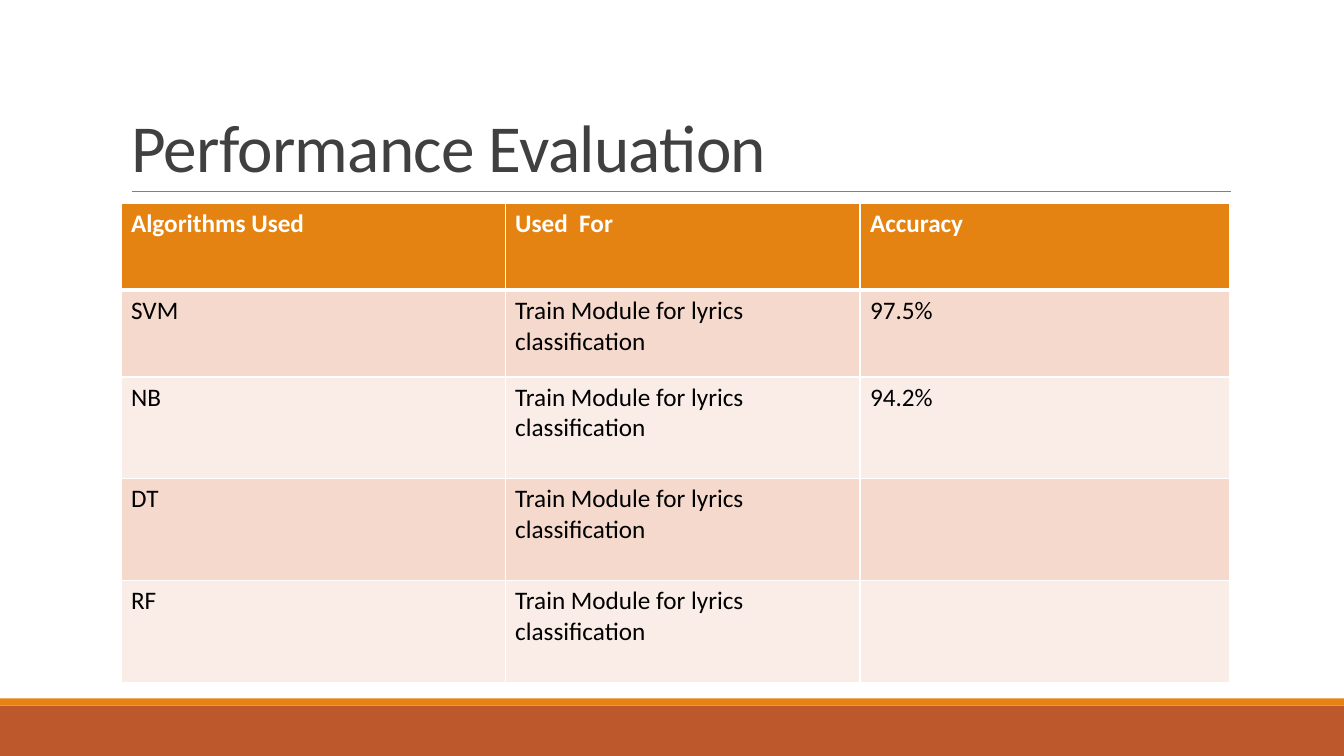
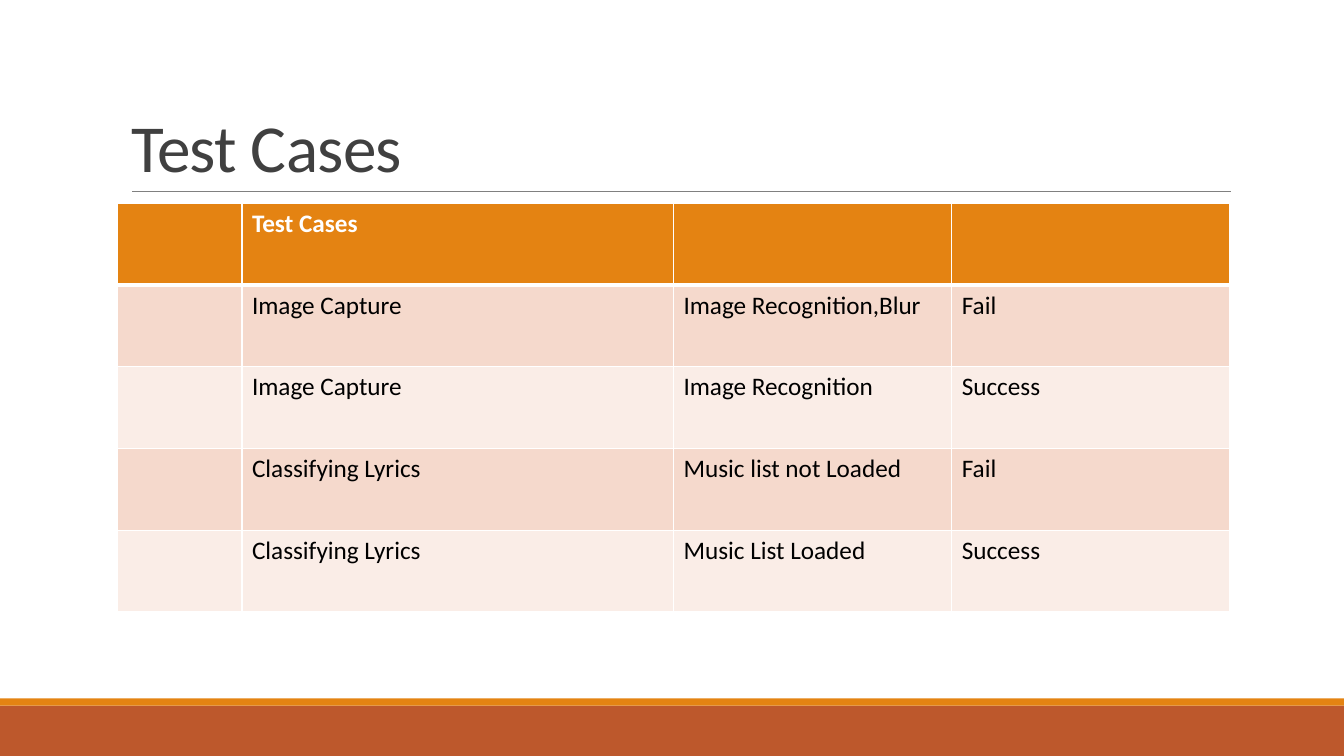
from lxml import etree
from pptx import Presentation, util as u
from pptx.dml.color import RGBColor
from pptx.enum import shapes, text
from pptx.oxml.ns import qn

# Content
TRAINING = "Train Module for lyrics classification"
SLIDES = [
    {
        "title": "Performance Evaluation",
        "left": 1.2,
        "columns": [3.81, 3.52, 3.67],
        "rows": [0.86] * 2 + [1.01] * 3,
        "cells": [
            ("Algorithms Used", "Used  For", "Accuracy"),
            ("SVM", TRAINING, "97.5%"),
            ("NB", TRAINING, "94.2%"),
            ("DT", TRAINING, ""),
            ("RF", TRAINING, ""),
        ],
    },
    {
        "title": "Test Cases",
        "left": 1.16,
        "columns": [1.24, 4.28, 2.76, 2.76],
        "rows": [0.81] * 5,
        "cells": [
            ("", "Test Cases", "", ""),
            ("", "Image Capture", "Image Recognition,Blur", "Fail"),
            ("", "Image Capture", "Image Recognition", "Success"),
            ("", "Classifying Lyrics", "Music list not Loaded", "Fail"),
            ("", "Classifying Lyrics", "Music List Loaded", "Success"),
        ],
    },
]

# Shared look
COLORS = {
    "rust": "BD582C", "orange": "E48312", "rule": "808080", "title": "404040",
    "white": "FFFFFF", "black": "000000", "odd": "F5D9CC", "even": "FAEDE7",
}
FONT = "Calibri"
WIDTH, HEIGHT = 13.33, 7.5
BANDS = [(7, 0.5, "rust"), (6.93, 0.07, "orange")]
RULE_LEFT, RULE_RIGHT, RULE_TOP = 1.31, 12.21, 1.9
TITLE_BOX = (1.2, 0.31, 11, 1.59)
TABLE_TOP = 2.02


def color(name):
    return RGBColor.from_string(COLORS[name])


def add_run(paragraph, content, size, color_name, bold=False):
    run = paragraph.add_run()
    run.text = content
    run.font.name = FONT
    run.font.size = u.Pt(size)
    run.font.bold = bold
    run.font.color.rgb = color(color_name)
    return run


def add_frame(slide):
    """Footer bands and the rule under the title."""
    for top, height, fill in BANDS:
        band = slide.shapes.add_shape(
            shapes.MSO_SHAPE.RECTANGLE, 0, u.Inches(top), u.Inches(WIDTH), u.Inches(height))
        band.shadow.inherit = False
        band.fill.solid()
        band.fill.fore_color.rgb = color(fill)
        band.line.fill.background()
    rule = slide.shapes.add_connector(
        shapes.MSO_CONNECTOR.STRAIGHT, u.Inches(RULE_LEFT), u.Inches(RULE_TOP),
        u.Inches(RULE_RIGHT), u.Inches(RULE_TOP))
    rule.line.color.rgb = color("rule")
    rule.line.width = u.Pt(0.5)
    etree.SubElement(rule._element.spPr, qn("a:effectLst"))


def set_title(slide, content):
    title = slide.shapes.title
    title.left, title.top, title.width, title.height = map(u.Inches, TITLE_BOX)
    frame = title.text_frame
    frame.word_wrap = True
    frame.auto_size = text.MSO_AUTO_SIZE.NONE
    frame.vertical_anchor = text.MSO_ANCHOR.BOTTOM
    paragraph = frame.paragraphs[0]
    paragraph.alignment = text.PP_ALIGN.LEFT
    paragraph.line_spacing = 0.85
    run = add_run(paragraph, content, 48, "title")
    run.font._element.set("spc", "-50")


def set_borders(cell, widths):
    properties = cell._tc.get_or_add_tcPr()
    for index, (side, width) in enumerate(widths.items()):
        line = etree.Element(qn(f"a:ln{side}"), w=str(u.Pt(width)))
        fill = etree.SubElement(line, qn("a:solidFill"))
        etree.SubElement(fill, qn("a:srgbClr"), val=COLORS["white"])
        properties.insert(index, line)


def add_grid(slide, content):
    columns, rows = content["columns"], content["rows"]
    table = slide.shapes.add_table(
        len(rows), len(columns), u.Inches(content["left"]), u.Inches(TABLE_TOP),
        u.Inches(sum(columns)), u.Inches(sum(rows))).table
    table.horz_banding = False
    for column, width in zip(table.columns, columns):
        column.width = u.Inches(width)
    for index, (row, height, values) in enumerate(zip(table.rows, rows, content["cells"])):
        row.height = u.Inches(height)
        header = index == 0
        fill = "orange" if header else ("even", "odd")[index % 2]
        borders = {"L": 1, "R": 1, "T": 3 if index == 1 else 1, "B": 3 if header else 1}
        for cell, value in zip(row.cells, values):
            cell.fill.solid()
            cell.fill.fore_color.rgb = color(fill)
            set_borders(cell, borders)
            if value:
                add_run(cell.text_frame.paragraphs[0], value, 18,
                        "white" if header else "black", header)


def main():
    presentation = Presentation()
    presentation.slide_width = u.Inches(WIDTH)
    presentation.slide_height = u.Inches(HEIGHT)
    title_only = presentation.slide_layouts[5]
    for content in SLIDES:
        slide = presentation.slides.add_slide(title_only)
        add_frame(slide)
        set_title(slide, content["title"])
        add_grid(slide, content)
    presentation.save("out.pptx")


if __name__ == "__main__":
    main()
